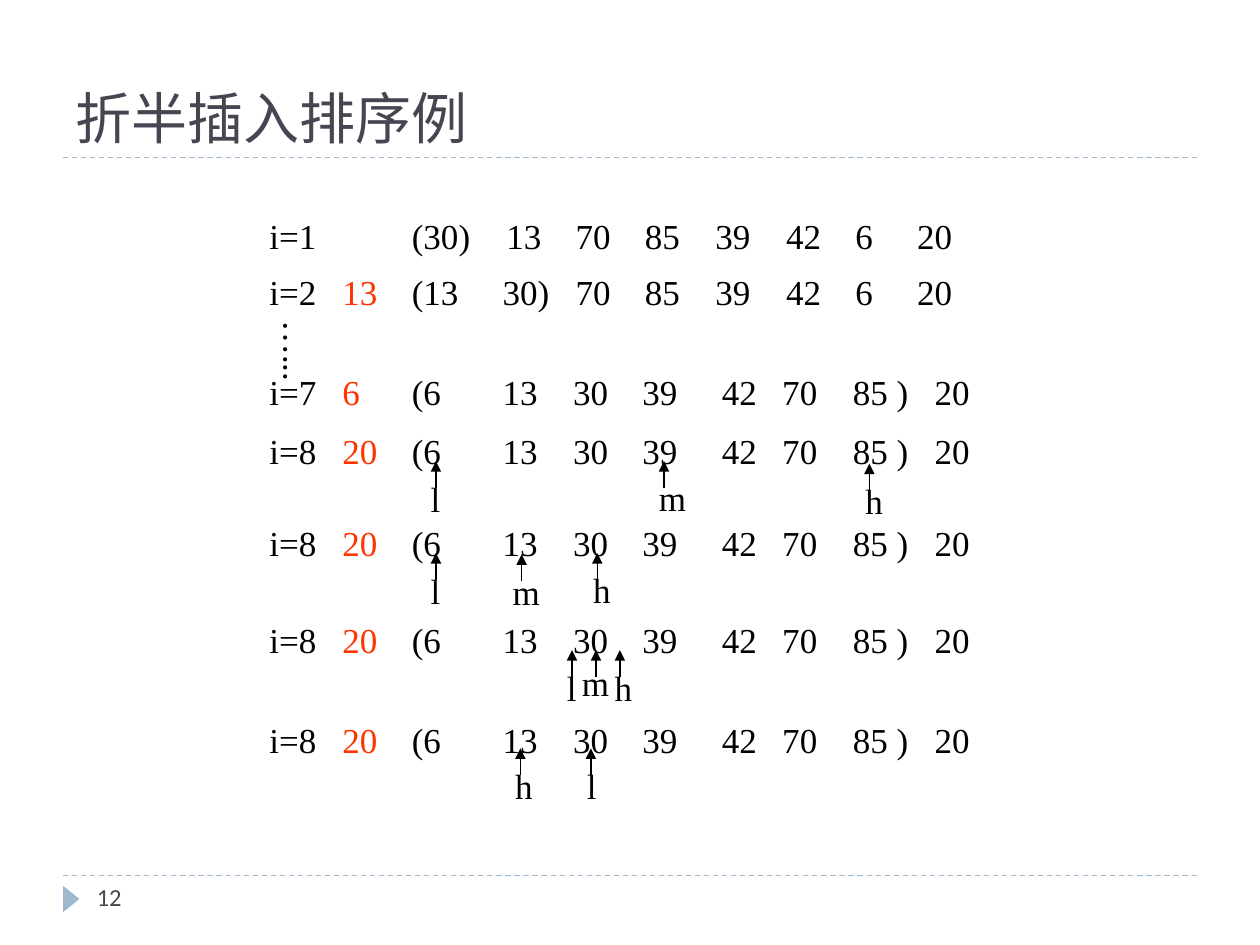
"""Build the slide that traces binary insertion sort."""
from dataclasses import dataclass
from typing import Union

from lxml.etree import SubElement
from pptx import Presentation
from pptx.dml.color import RGBColor
from pptx.enum.dml import MSO_LINE_DASH_STYLE as Dash
from pptx.enum.shapes import MSO_CONNECTOR_TYPE as Connector
from pptx.enum.shapes import MSO_SHAPE as Shape
from pptx.enum.text import MSO_ANCHOR as Anchor
from pptx.enum.text import MSO_AUTO_SIZE as AutoSize
from pptx.enum.text import PP_ALIGN as Align
from pptx.oxml.ns import qn
from pptx.shapes.connector import Connector as Line
from pptx.shapes.shapetree import GroupShapes, SlideShapes
from pptx.slide import Slide
from pptx.text.text import TextFrame
from pptx.util import Inches, Pt

Shapes = Union[GroupShapes, SlideShapes]

INK = RGBColor(0x00, 0x00, 0x00)
KEY = RGBColor(0xFF, 0x33, 0x00)
SLATE = RGBColor(0x46, 0x46, 0x53)
ACCENT = RGBColor(0x9F, 0xB8, 0xCD)
SERIF, SANS, HAN = "Times New Roman", "Calibri", "Noto Sans CJK SC"

ROW_LEFT, ROW_HEIGHT, ARROW_LENGTH = 2.04, 0.44, 0.21
LABEL_WIDTHS = {"l": 0.27, "m": 0.41, "h": 0.34}
KEY_STOP = 0.58
EARLY_STOPS = (1.13, 1.88, 2.43, 2.98, 3.54, 4.10, 4.65, 5.14)
SECOND_STOPS = (1.13, 1.85, *EARLY_STOPS[2:])
LATE_STOPS = (1.13, 1.85, 2.41, 2.96, 3.59, 4.07, 4.63, 5.28)
SORTED = "(6 13 30 39 42 70".split() + ["85 )", "20"]


@dataclass(frozen=True)
class Pointer:
    """An index arrow with its label."""
    label: str
    x: float
    tip: float
    label_left: float
    label_top: float


@dataclass(frozen=True)
class Step:
    """One pass of the sort."""
    top: float
    index: int
    key: str
    values: list[str]
    stops: tuple[float, ...] = LATE_STOPS
    pointers: tuple[Pointer, ...] = ()


STEPS = (
    Step(1.65, 1, "", "(30) 13 70 85 39 42 6 20".split(), EARLY_STOPS),
    Step(2.10, 2, "13", "(13 30) 70 85 39 42 6 20".split(), SECOND_STOPS),
    Step(2.89, 7, "6", SORTED),
    Step(3.36, 8, "20", SORTED, pointers=(
        Pointer("l", 3.46, 3.66, 3.32, 3.74),
        Pointer("h", 6.90, 3.68, 6.77, 3.76),
        Pointer("m", 5.27, 3.66, 5.13, 3.73))),
    Step(4.09, 8, "20", SORTED, pointers=(
        Pointer("l", 3.46, 4.39, 3.32, 4.47),
        Pointer("h", 4.74, 4.39, 4.61, 4.46),
        Pointer("m", 4.14, 4.40, 3.97, 4.48))),
    Step(4.86, 8, "20", SORTED, pointers=(
        Pointer("l", 4.54, 5.16, 4.40, 5.24),
        Pointer("h", 4.92, 5.16, 4.78, 5.24),
        Pointer("m", 4.73, 5.16, 4.52, 5.20))),
    Step(5.65, 8, "20", SORTED, pointers=(
        Pointer("l", 4.69, 5.94, 4.56, 6.02),
        Pointer("h", 4.13, 5.94, 3.99, 6.02))),
)


def add_line(shapes: Shapes, start: tuple[float, float],
             end: tuple[float, float], color: RGBColor) -> Line:
    """Draw a thin straight line without a shadow."""
    line = shapes.add_connector(Connector.STRAIGHT, *map(Inches, start + end))
    line.line.color.rgb = color
    line.line.width = Pt(0.75)
    SubElement(line.element.spPr, qn("a:effectLst"))
    return line


def add_label(shapes: Shapes, text: str, left: float, top: float, width: float,
              height: float, name: str = SERIF, size: int = 20,
              color: RGBColor = INK) -> TextFrame:
    """Write a single unwrapped line of text."""
    frame = shapes.add_textbox(*map(Inches, (left, top, width, height))).text_frame
    frame.word_wrap = False
    para = frame.paragraphs[0]
    para.text = text
    para.font.name, para.font.size, para.font.color.rgb = name, Pt(size), color
    return frame


def add_pointer(shapes: Shapes, pointer: Pointer) -> None:
    """Draw an upward arrow and its label."""
    arrow = add_line(shapes, (pointer.x, pointer.tip + ARROW_LENGTH),
                     (pointer.x, pointer.tip), INK)
    SubElement(arrow.element.spPr.get_or_add_ln(), qn("a:tailEnd"), type="triangle")
    frame = add_label(shapes, pointer.label, pointer.label_left, pointer.label_top,
                      LABEL_WIDTHS[pointer.label], ROW_HEIGHT)
    frame.auto_size = AutoSize.SHAPE_TO_FIT_TEXT


def add_step(page: Slide, step: Step) -> None:
    """Write one pass in tabbed columns, with its pointers."""
    shapes = page.shapes.add_group_shape().shapes if step.pointers else page.shapes
    box = shapes.add_textbox(Inches(ROW_LEFT), Inches(step.top),
                             Inches(5.77), Inches(ROW_HEIGHT))
    frame = box.text_frame
    frame.word_wrap = True
    frame.margin_right = 0
    para = frame.paragraphs[0]
    tabs = SubElement(para._p.get_or_add_pPr(), qn("a:tabLst"))
    for stop in ((KEY_STOP,) if step.key else ()) + step.stops:
        SubElement(tabs, qn("a:tab"), pos=str(Inches(stop)), algn="l")
    para.font.name, para.font.size = SERIF, Pt(20)
    parts = [(f"i={step.index}", INK)]
    if step.key:
        parts.append((f"\t{step.key}", KEY))
    parts.append(("\t" + "\t".join(step.values), INK))
    for text, color in parts:
        span = para.add_run()
        span.text = text
        span.font.color.rgb = color
    for pointer in step.pointers:
        add_pointer(shapes, pointer)


def add_title(page: Slide, text: str) -> None:
    """Place and format the title."""
    title = page.shapes.title
    title.left, title.top, title.width, title.height = map(Inches, (0.5, 0.17, 9, 1.08))
    frame = title.text_frame
    frame.vertical_anchor = Anchor.BOTTOM
    para = frame.paragraphs[0]
    para.alignment = Align.LEFT
    span = para.add_run()
    span.text = text
    span.font.name, span.font.size, span.font.color.rgb = HAN, Pt(32), SLATE
    SubElement(span._r.get_or_add_rPr(), qn("a:ea"), typeface=HAN)


def add_footer(page: Slide) -> None:
    """Draw the page marker and number."""
    marker = page.shapes.add_shape(Shape.ISOSCELES_TRIANGLE,
                                   *map(Inches, (0.46, 7.07, 0.21, 0.13)))
    marker.rotation = 90
    marker.shadow.inherit = False
    marker.fill.solid()
    marker.fill.fore_color.rgb = ACCENT
    marker.line.fill.background()
    frame = add_label(page.shapes, "12", 0.67, 6.95, 2.17, 0.4, SANS, 14, SLATE)
    frame.word_wrap = True


def main() -> None:
    """Assemble and save the deck."""
    deck = Presentation()
    deck.slide_width, deck.slide_height = Inches(10), Inches(7.5)
    page = deck.slides.add_slide(deck.slide_layouts[5])
    for y in (6.95, 1.25):
        add_line(page.shapes, (0.5, y), (9.5, y), ACCENT).line.dash_style = Dash.DASH
    add_title(page, "折半插入排序例")
    add_footer(page)
    for step in STEPS:
        add_step(page, step)
    dots = add_label(page.shapes, "…...", 2.05, 2.44, 0.53, 0.59)
    dots.margin_left = dots.margin_right = Inches(0.05)
    dots.margin_top = dots.margin_bottom = Inches(0.1)
    dots._txBody.bodyPr.set("vert", "eaVert")
    deck.save("out.pptx")


if __name__ == "__main__":
    main()
